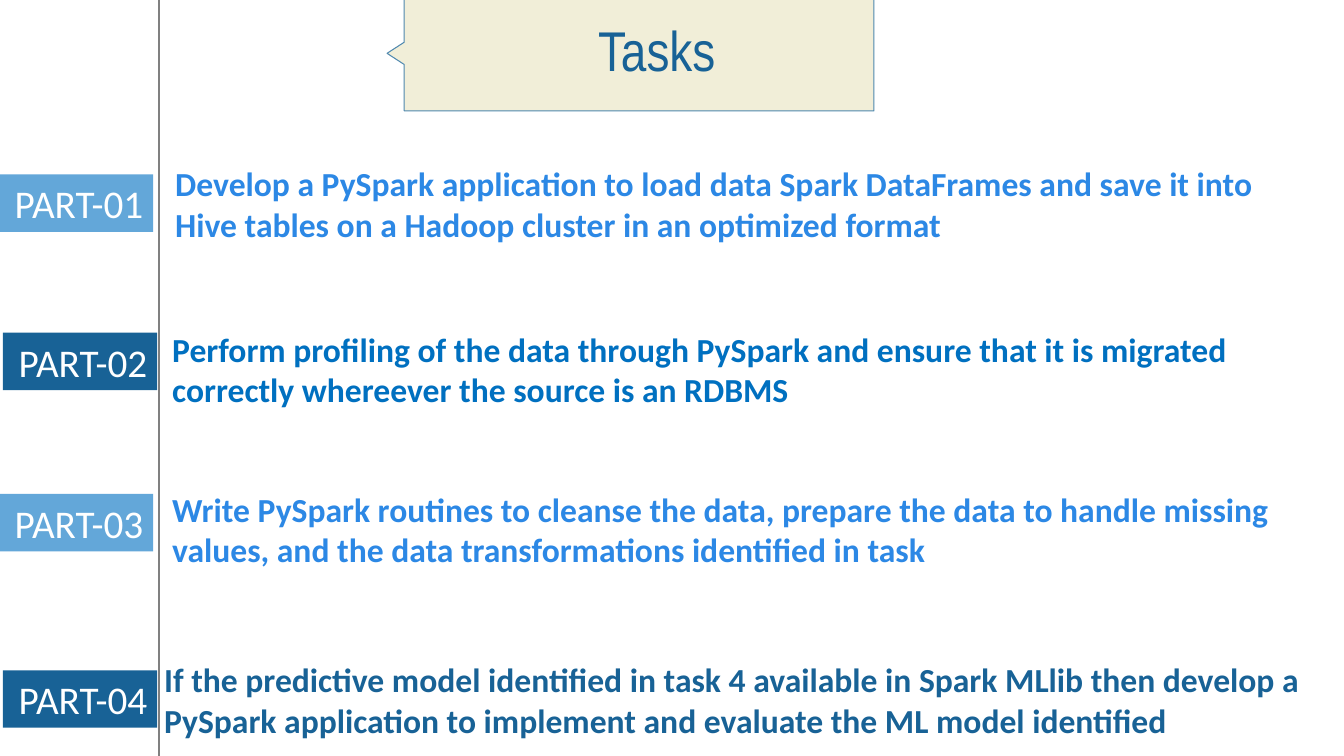
"""Build the Tasks slide: a title callout and four labelled parts."""
from dataclasses import dataclass

import pptx
import pptx.dml.color
import pptx.enum.shapes
import pptx.enum.text
import pptx.util
from lxml import etree

Pt = pptx.util.Pt
Align = pptx.enum.text.PP_ALIGN


@dataclass(frozen=True)
class Theme:
    body_font: str = "Calibri"
    title_font: str = "Arial Narrow"
    title_size: float = 40
    label_size: float = 28
    body_size: float = 24
    white: str = "FFFFFF"
    rule: str = "808080"
    cream: str = "F1EED8"
    outline: str = "4F88AF"
    navy: str = "186296"
    sky: str = "63A7D9"
    bright: str = "2C88E5"
    blue: str = "0070C0"


@dataclass(frozen=True)
class Task:
    text: str
    left: float
    top: float
    width: float
    color: str
    tag_top: float


THEME = Theme()
PAGE_WIDTH, PAGE_HEIGHT = 960, 540
RULE_X = 113.76
TAG_WIDTH, TAG_HEIGHT = 110.16, 41.04
TAG_STYLES = ((-0.72, THEME.sky), (2.16, THEME.navy))
TASK_HEIGHT = 65.52
CALLOUT = ((288.72, -2.88), (624.24, -2.88), (624.24, 79.2), (288.72, 79.2),
           (288.72, 46.08), (276.48, 38.16), (288.72, 30.24))
TASKS = (
    Task("Develop a PySpark application to load data Spark DataFrames and save it "
         "into Hive tables on a Hadoop cluster in an optimized format",
         118.08, 113.04, 828.72, THEME.bright, 124.56),
    Task("Perform profiling of the data through PySpark and ensure that it is "
         "migrated correctly whereever the source is an RDBMS",
         115.92, 231.12, 829.44, THEME.blue, 237.6),
    Task("Write PySpark routines to cleanse the data, prepare the data to handle "
         "missing values, and the data transformations identified in task",
         115.92, 345.6, 833.76, THEME.bright, 352.8),
    Task("If the predictive model identified in task 4 available in Spark MLlib then "
         "develop a PySpark application to implement and evaluate the ML model identified",
         110.16, 467.28, 835.2, THEME.navy, 478.8),
)


def rgb(color: str) -> pptx.dml.color.RGBColor:
    return pptx.dml.color.RGBColor.from_string(color)


def write(box, text: str, *, size: float, color: str, font: str = THEME.body_font,
          bold: bool = False, align=Align.LEFT, wrap: bool = True) -> None:
    frame = box.text_frame
    frame.word_wrap = wrap
    para = frame.paragraphs[0]
    para.alignment = align
    span = para.add_run()
    span.text = text
    span.font.name = font
    span.font.size = Pt(size)
    span.font.bold = bold
    span.font.color.rgb = rgb(color)


def add_text(page, left: float, top: float, width: float, height: float,
             text: str, **style) -> None:
    box = page.shapes.add_textbox(Pt(left), Pt(top), Pt(width), Pt(height))
    write(box, text, **style)


def paint(shape, fill: str) -> None:
    shape.shadow.inherit = False
    shape.fill.solid()
    shape.fill.fore_color.rgb = rgb(fill)


def add_rule(page) -> None:
    rule = page.shapes.add_connector(pptx.enum.shapes.MSO_CONNECTOR.STRAIGHT,
                                     Pt(RULE_X), Pt(PAGE_HEIGHT), Pt(RULE_X), Pt(0))
    rule.line.color.rgb = rgb(THEME.rule)
    rule.line.width = Pt(1.5)
    properties = rule.line._get_or_add_ln().getparent()
    etree.SubElement(properties, pptx.oxml.ns.qn("a:effectLst"))


def add_callout(page) -> None:
    start, *others = [(Pt(x), Pt(y)) for x, y in CALLOUT]
    builder = page.shapes.build_freeform(*start, scale=1.0)
    builder.add_line_segments(others, close=True)
    callout = builder.convert_to_shape()
    paint(callout, THEME.cream)
    callout.line.color.rgb = rgb(THEME.outline)
    callout.line.width = Pt(0.75)


def add_task(page, number: int, task: Task) -> None:
    add_text(page, task.left, task.top, task.width, TASK_HEIGHT, task.text,
             size=THEME.body_size, color=task.color, bold=True)
    tag_left, fill = TAG_STYLES[(number - 1) % len(TAG_STYLES)]
    tag = page.shapes.add_shape(pptx.enum.shapes.MSO_SHAPE.RECTANGLE, Pt(tag_left),
                                Pt(task.tag_top), Pt(TAG_WIDTH), Pt(TAG_HEIGHT))
    paint(tag, fill)
    tag.line.fill.background()
    write(tag, f"PART-{number:02}", size=THEME.label_size, color=THEME.white,
          align=Align.RIGHT, wrap=False)


def main() -> None:
    deck = pptx.Presentation()
    deck.slide_width, deck.slide_height = Pt(PAGE_WIDTH), Pt(PAGE_HEIGHT)
    page = deck.slides.add_slide(deck.slide_layouts[6])
    add_rule(page)
    add_callout(page)
    for number, task in enumerate(TASKS, start=1):
        add_task(page, number, task)
    add_text(page, 331.2, 7.92, 275.76, 55.44, "Tasks", size=THEME.title_size,
             color=THEME.navy, font=THEME.title_font, align=Align.CENTER)
    deck.save("out.pptx")


if __name__ == "__main__":
    main()
